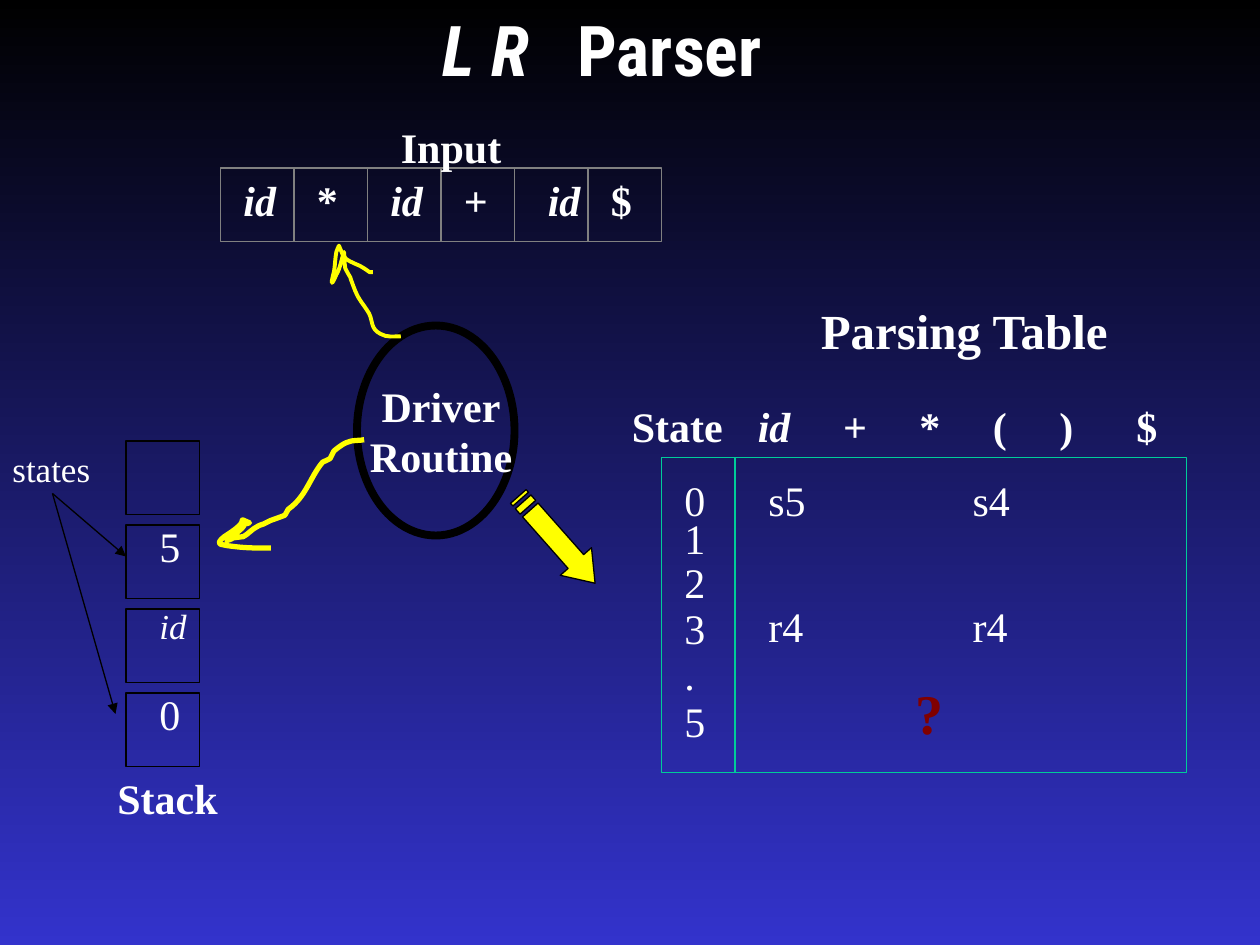
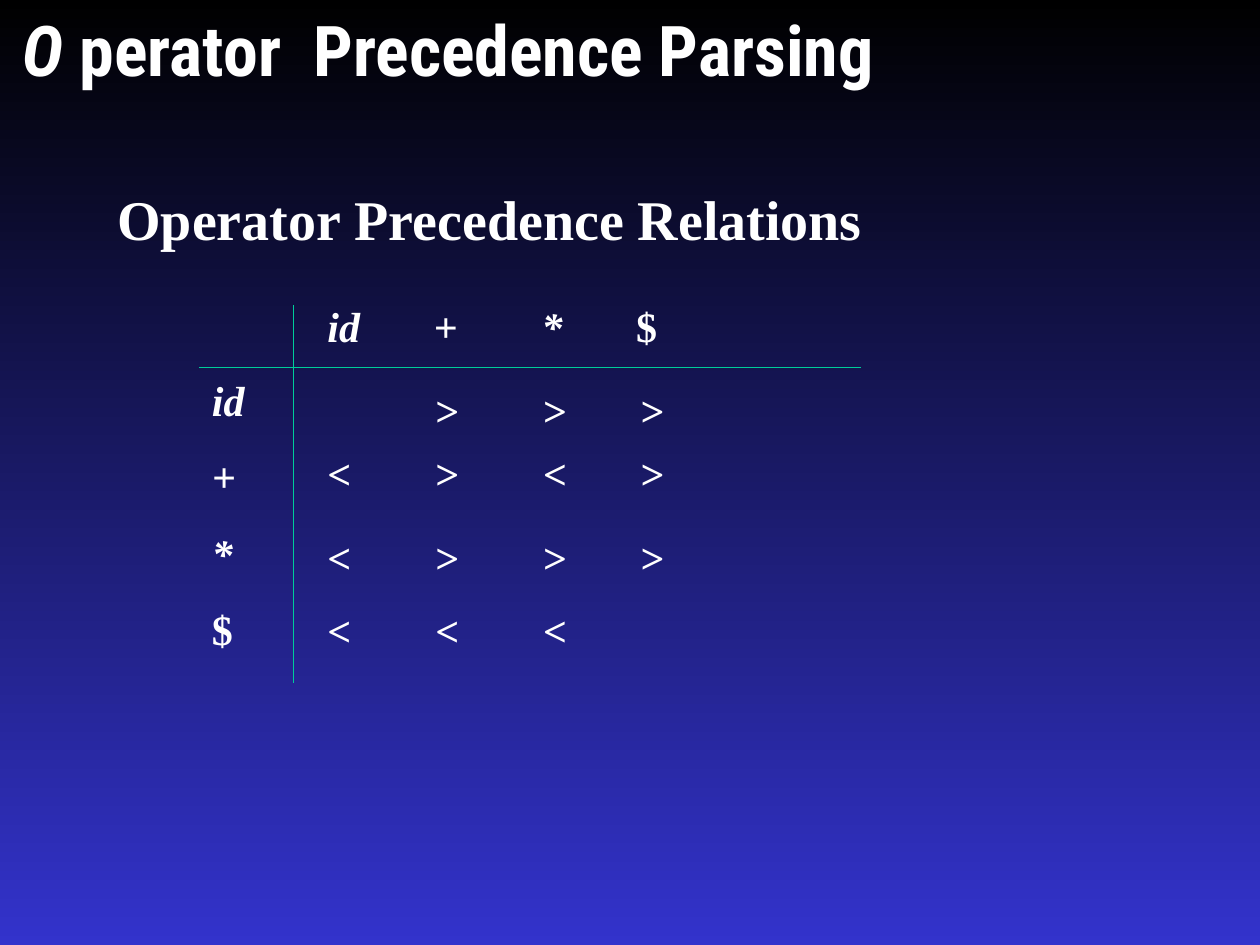
from dataclasses import dataclass
from itertools import chain

from lxml.etree import SubElement
from pptx import Presentation
from pptx.dml.color import RGBColor
from pptx.enum.shapes import MSO_CONNECTOR, MSO_SHAPE
from pptx.enum.text import MSO_ANCHOR, MSO_AUTO_SIZE, PP_ALIGN
from pptx.oxml.ns import qn
from pptx.util import Pt

# Shared look
BLACK = RGBColor(0x00, 0x00, 0x00)
BLUE = RGBColor(0x33, 0x33, 0xCC)
WHITE = RGBColor(0xFF, 0xFF, 0xFF)
YELLOW = RGBColor(0xFF, 0xFF, 0x00)
GRAY = RGBColor(0x80, 0x80, 0x80)
GREEN = RGBColor(0x00, 0xCC, 0x99)
MAROON = RGBColor(0x80, 0x00, 0x00)
TITLE_FONT = "Roboto Condensed"
TEXT_FONT = "Times New Roman"
THIN = 0.75
PARA_GAP = 15

# Tab stops, measured from the left edge of the text
SYMBOL_STOPS = (48.67, 92.35, 134.35, 172.35, 216.35)
ACTION_STOPS = (116.7,)
OPERATOR_STOPS = (60.67, 122.35, 176.35)
RELATION_STOPS = (61.68, 123.36, 179.04)


@dataclass(frozen=True)
class Span:
    text: str
    italic: bool = False


@dataclass(frozen=True)
class Line:
    spans: tuple[Span, ...]
    spacing: float | None = None


@dataclass(frozen=True)
class Label:
    left: float
    top: float
    width: float
    height: float
    lines: tuple[Line, ...]
    size: float = 24
    bold: bool = True
    color: RGBColor = WHITE
    stops: tuple[float, ...] = ()


Point = tuple[float, float]


def line(text: str, italic: bool = False, spacing: float | None = None) -> Line:
    return Line((Span(text, italic),), spacing)


# Text helpers
def set_tabs(para, stops: tuple[float, ...]) -> None:
    tabs = SubElement(para._p.get_or_add_pPr(), qn("a:tabLst"))
    for stop in stops:
        SubElement(tabs, qn("a:tab"), pos=str(int(Pt(stop))), algn="l")


def write(frame, label: Label, font_name: str = TEXT_FONT) -> None:
    for index, text_line in enumerate(label.lines):
        para = frame.add_paragraph() if index else frame.paragraphs[0]
        para.alignment = PP_ALIGN.LEFT
        if index:
            para.space_before = Pt(PARA_GAP)
        if text_line.spacing:
            para.line_spacing = text_line.spacing
        if label.stops:
            set_tabs(para, label.stops)
        for span in text_line.spans:
            run = para.add_run()
            run.text = span.text
            font = run.font
            font.name, font.size = font_name, Pt(label.size)
            font.bold, font.italic = label.bold, span.italic
            font.color.rgb = label.color


def add_label(page, label: Label):
    box = page.shapes.add_textbox(Pt(label.left), Pt(label.top), Pt(label.width), Pt(label.height))
    box.text_frame.word_wrap = True
    write(box.text_frame, label)
    return box


def add_title(page, label: Label) -> None:
    title = page.shapes.title
    title.left, title.top = Pt(label.left), Pt(label.top)
    title.width, title.height = Pt(label.width), Pt(label.height)
    frame = title.text_frame
    frame.word_wrap = True
    frame.auto_size = MSO_AUTO_SIZE.NONE
    frame.vertical_anchor = MSO_ANCHOR.TOP
    write(frame, label, TITLE_FONT)


# Drawing helpers
def style_outline(shape, color: RGBColor, weight: float = THIN) -> None:
    shape.shadow.inherit = False
    shape.fill.background()
    shape.line.color.rgb, shape.line.width = color, Pt(weight)


def add_outline(page, kind, left: float, top: float, width: float, height: float,
                color: RGBColor, weight: float = THIN):
    shape = page.shapes.add_shape(kind, Pt(left), Pt(top), Pt(width), Pt(height))
    style_outline(shape, color, weight)
    return shape


def add_rule(page, start: Point, end: Point, color: RGBColor, arrow: bool = False):
    rule = page.shapes.add_connector(
        MSO_CONNECTOR.STRAIGHT, *(Pt(value) for value in chain(start, end)))
    rule.line.color.rgb, rule.line.width = color, Pt(THIN)
    if arrow:
        SubElement(rule.line._get_or_add_ln(), qn("a:tailEnd"), type="triangle")
    SubElement(rule._element.spPr, qn("a:effectLst"))
    return rule


def add_scribble(page, points: list[Point], weight: float) -> None:
    """Bezier stroke: a start point, then two controls and an end per curve."""
    start, *rest = [(Pt(x), Pt(y)) for x, y in points]
    builder = page.shapes.build_freeform(*start)
    builder.add_line_segments(rest, close=False)
    scribble = builder.convert_to_shape()
    style_outline(scribble, YELLOW, weight)
    outline = next(scribble._element.iter(qn("a:path")))
    segments = outline.findall(qn("a:lnTo"))
    for curve_parts in zip(*[iter(segments)] * 3):
        curve = SubElement(outline, qn("a:cubicBezTo"))
        for part in curve_parts:
            curve.append(part[0])
            outline.remove(part)


# Slide 1: hand-drawn arrows from the driver
TO_STACK = [
    (208.1, 251.3), (205.2, 252), (201.6, 251.3), (198.7, 252.7),
    (195.8, 253.4), (190.8, 257.8), (190.8, 257.8),
    (190.1, 259.2), (189.4, 260.6), (188.6, 262.1),
    (187.2, 262.8), (185.8, 263.5), (184.3, 264.2),
    (177.1, 272.9), (175, 283.7), (164.9, 290.9),
    (164.2, 291.6), (163.4, 293.8), (162.7, 294.5),
    (159.1, 295.9), (154.8, 297.4), (154.8, 297.4),
    (153.4, 298.1), (151.9, 298.8), (150.5, 299.5),
    (149, 300.2), (147.6, 300.2), (146.9, 301),
    (144, 302.4), (141.8, 305.3), (139, 306.7),
    (136.8, 306.7), (135.4, 307.4), (133.2, 307.4),
    (132.5, 308.2), (129.6, 308.9), (129.6, 308.9),
    (137.5, 297.4), (127.4, 311), (136.1, 303.8),
    (144.7, 296.6), (133.2, 301.7), (142.6, 298.8),
    (135.4, 295.9), (141.1, 296.6), (136.1, 301),
    (133.9, 303.1), (128.2, 306.7), (128.2, 306.7),
    (127.4, 307.4), (125.3, 308.9), (125.3, 310.3),
    (126, 311.8), (128.2, 311), (129.6, 311.8),
    (139.7, 313.2), (144, 313.2), (154.8, 313.2),
]
TO_INPUT = [
    (229, 192.2), (225.4, 192.2), (221, 193), (217.4, 190.8),
    (211.7, 187.9), (213.1, 183.6), (211, 179.3),
    (206.6, 172.1), (205.9, 172.8), (203, 166.3),
    (196.6, 149.8), (203.8, 165.6), (197.3, 153.4),
    (197.3, 151.2), (196.6, 149.8), (196.6, 147.6),
    (195.8, 145.4), (193.7, 140.4), (193.7, 140.4),
    (193, 141.1), (193, 142.6), (192.2, 144),
    (191.5, 147.6), (191.5, 151.9), (190.8, 155.5),
    (190.8, 155.5), (187.2, 168.5), (192.2, 157),
    (194.4, 153.4), (195.1, 148.3), (196.6, 144),
    (196.6, 145.4), (196.6, 146.9), (197.3, 147.6),
    (200.9, 150.5), (205.2, 151.2), (208.1, 153.4),
    (212.4, 156.2), (210.2, 155.5), (213.1, 155.5),
]
CELL = 42


def add_striped_arrow(page, left: float, top: float, width: float, height: float) -> None:
    shaft_top, middle, shaft_bottom = (top + height * part for part in (0.25, 0.5, 0.75))
    stripe_1, stripe_2, stripe_end, shaft, neck = (
        left + width * part / 32 for part in (1, 2, 4, 5, 24))
    right, bottom = left + width, top + height
    contours = [[(shaft, shaft_top), (neck, shaft_top), (neck, top), (right, middle),
                 (neck, bottom), (neck, shaft_bottom), (shaft, shaft_bottom)]]
    for begin, end in ((left, stripe_1), (stripe_2, stripe_end)):
        contours.append([(begin, shaft_top), (end, shaft_top),
                         (end, shaft_bottom), (begin, shaft_bottom)])
    builder = None
    for contour in contours:
        start, *rest = [(Pt(x), Pt(y)) for x, y in contour]
        if builder is None:
            builder = page.shapes.build_freeform(*start)
        else:
            builder.move_to(*start)
        builder.add_line_segments(rest, close=True)
    arrow = builder.convert_to_shape()
    style_outline(arrow, BLACK)
    arrow.fill.solid()
    arrow.fill.fore_color.rgb = YELLOW
    arrow.rotation = 48.5


def draw_driver(page) -> None:
    driver = add_outline(page, MSO_SHAPE.OVAL, 204, 186, 90, 120, BLACK, 4.5)
    frame = driver.text_frame
    frame.word_wrap = False
    frame.vertical_anchor = MSO_ANCHOR.MIDDLE
    frame.margin_left = Pt(13.2)
    write(frame, Label(204, 186, 90, 120, (line("Driver"), line("Routine"))))
    for para in frame.paragraphs:
        para.alignment = PP_ALIGN.CENTER
        para.space_before = Pt(0)
    add_scribble(page, TO_STACK, 3)
    add_scribble(page, TO_INPUT, 2.25)
    add_striped_arrow(page, 285, 296.6, 66.2, 23.8)


def draw_stack(page) -> None:
    top, pitch = 252, 48
    entries = (None, ("5", 24, False), ("id", 20, True), ("0", 24, False))
    for row, entry in enumerate(entries):
        cell_top = top + row * pitch
        add_outline(page, MSO_SHAPE.RECTANGLE, 72, cell_top, CELL, CELL, BLACK)
        if entry:
            text, size, italic = entry
            add_label(page, Label(84, cell_top - 6, 30, 36, (line(text, italic),), size, False))
    add_label(page, Label(60, 438, 78, 36, (line("Stack"),)))
    states = add_label(page, Label(0, 252, 60, 30, (line("states"),), 20, False))
    for target in ((72, 318), (66, 408)):
        pointer = add_rule(page, (30, 282), target, BLACK, arrow=True)
        pointer.begin_connect(states, 2)


def draw_input(page) -> None:
    left, top = 126, 96
    tokens = (("id", 6), ("*", 6), ("id", 6), ("+", 6), ("id", 12), ("$", 6))
    tape = add_outline(page, MSO_SHAPE.RECTANGLE, left, top, CELL * len(tokens), CELL, GRAY)
    for column, (token, indent) in enumerate(tokens):
        x = left + column * CELL
        if column:
            divider = add_rule(page, (x, top), (x, top + CELL), GRAY)
            if column * 2 == len(tokens):
                divider.begin_connect(tape, 0)
                divider.end_connect(tape, 2)
        add_label(page, Label(x + indent, top, 36, 36, (line(token, token == "id"),)))
    add_label(page, Label(222, 66, 78, 36, (line("Input"),)))


def draw_parsing_table(page) -> None:
    top = 261.4
    add_outline(page, MSO_SHAPE.RECTANGLE, 378, top, 300, 180, GREEN)
    add_rule(page, (420, top), (420, top + 180), GREEN)
    states = (line("0"), line("1", spacing=0.1),
              *(line(state, spacing=0.4) for state in "23.5"))
    symbols = Line((Span("id\t", True), Span("+\t*\t(\t)\t$")))
    for label in (
        Label(384, top + 6, 30, 186, states, bold=False),
        Label(426, top - 36, 252, 36, (symbols,), stops=SYMBOL_STOPS),
        Label(354, top - 36, 78, 36, (line("State"),)),
        Label(432, top + 6, 240, 36, (line("s5\ts4"),), bold=False, stops=ACTION_STOPS),
        Label(432, top + 78, 240, 36, (line("r4\tr4"),), bold=False, stops=ACTION_STOPS),
        Label(462, 168, 216, 41, (line("Parsing Table"),), 28),
        Label(516, 384, 30, 46, (line("?"),), 32, color=MAROON),
    ):
        add_label(page, label)


def draw_lr_parser(page) -> None:
    title = Line((Span("L R", True), Span("\tParser")))
    add_title(page, Label(245.8, 0, 234, 55.5, (title,), 40, stops=(77,)))
    draw_driver(page)
    draw_stack(page)
    draw_input(page)
    draw_parsing_table(page)


# Slide 2: relations between operators
def draw_operator_precedence(page) -> None:
    title = Line((Span("O ", True), Span("perator\tPrecedence Parsing")))
    add_title(page, Label(5.8, 0, 522, 104, (title,), 40, stops=(166,)))
    add_label(page, Label(60, 102, 450, 46, (line("Operator Precedence Relations"),), 32))
    add_rule(page, (167.8, 174.2), (167.8, 390.2), GREEN)
    add_rule(page, (114, 210.2), (492, 210.2), GREEN)
    header = Line((Span("id\t+\t*\t", True), Span("$")))
    add_label(page, Label(180, 168, 276, 36, (header,), stops=OPERATOR_STOPS))
    operators = tuple(line(name, name != "$") for name in ("id", "+", "*", "$"))
    add_label(page, Label(114, 210.2, 36, 168, operators))
    rows = ((216, "\t>\t>\t>"), (252, "<\t>\t<\t>"), (300, "<\t>\t>\t>"), (342, "<\t<\t<"))
    for top, relations in rows:
        add_label(page, Label(180, top, 216, 36, (line(relations),), stops=RELATION_STOPS))


def main() -> None:
    deck = Presentation()
    deck.slide_width, deck.slide_height = Pt(720), Pt(540)
    # Background shared through the master
    fill = deck.slide_master.background.fill
    fill.gradient()
    fill.gradient_angle = 270
    for stop, color in zip(fill.gradient_stops, (BLACK, BLUE)):
        stop.color.rgb = color
    title_only = deck.slide_layouts[5]
    for draw in (draw_lr_parser, draw_operator_precedence):
        draw(deck.slides.add_slide(title_only))
    deck.save("out.pptx")


if __name__ == "__main__":
    main()
